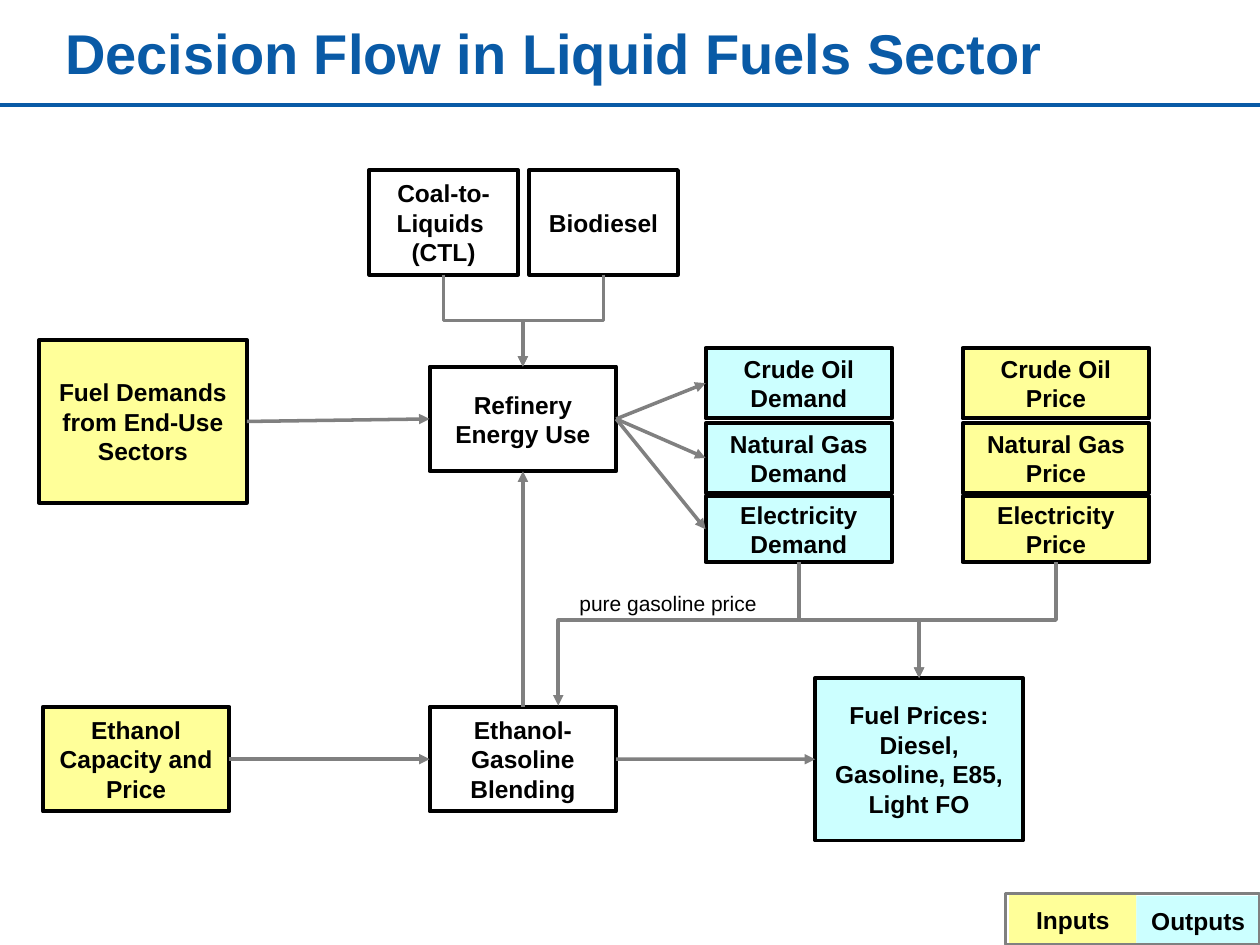
from dataclasses import dataclass

import pptx
import pptx.dml.color
import pptx.enum.shapes
import pptx.enum.text
import pptx.oxml.ns
import pptx.presentation
import pptx.shapes.autoshape
import pptx.shapes.connector
import pptx.slide
import pptx.util
from lxml import etree

Pt = pptx.util.Pt
RGBColor = pptx.dml.color.RGBColor
Link = pptx.enum.shapes.MSO_CONNECTOR
Align = pptx.enum.text.PP_ALIGN
Anchor = pptx.enum.text.MSO_ANCHOR
qn = pptx.oxml.ns.qn

BLUE = RGBColor(0x09, 0x5A, 0xA6)
BLACK = RGBColor(0, 0, 0)
WHITE = RGBColor(0xFF, 0xFF, 0xFF)
GRAY = RGBColor(0x80, 0x80, 0x80)
INPUT = RGBColor(0xFF, 0xFF, 0x99)
OUTPUT = RGBColor(0xCC, 0xFF, 0xFF)

TOP, LEFT, BOTTOM, RIGHT = range(4)


@dataclass
class Box:
    name: str
    lines: list[str]
    x: float
    y: float
    w: float
    h: float
    fill: RGBColor
    edge: bool = True


@dataclass
class Flow:
    start: str
    side: int
    end: str
    stop: int


ROWS = [("Crude Oil", 198.8, 40.3), ("Natural Gas", 241.9, 39.6),
        ("Electricity", 283.7, 37.5)]
COLS = [("Demand", 403.2, OUTPUT), ("Price", 550.1, INPUT)]

BOXES = [
    Box("needs", ["Fuel Demands from End-Use Sectors"],
        22.3, 194.4, 118.8, 92.9, INPUT),
    Box("refine", ["Refinery Energy Use"], 245.5, 209.5, 106.6, 59.8, WHITE),
    Box("blend", ["Ethanol-Gasoline Blending"],
        245.5, 403.9, 106.6, 59.8, WHITE),
    Box("ethanol", ["Ethanol Capacity and Price"],
        24.5, 403.9, 106.6, 59.8, INPUT),
    Box("prices", ["Fuel Prices:", "Diesel, Gasoline, E85, Light FO"],
        465.8, 387.4, 118.8, 92.9, OUTPUT),
    Box("coal", ["Coal-to-Liquids ", "(CTL)"], 211, 97.2, 85, 59.8, WHITE),
    Box("bio", ["Biodiesel"], 302.4, 97.2, 85, 59.8, WHITE),
    *[Box(f"{fuel} {kind}", [f"{fuel} {kind}"], x, y, 106.6, h, fill)
      for kind, x, fill in COLS for fuel, y, h in ROWS],
    Box("inputs", ["Inputs"], 576.7, 511.2, 72.7, 28.8, INPUT, False),
    Box("outputs", ["Outputs"], 649.4, 511.9, 70.6, 28.1, OUTPUT, False),
]

FLOWS = [
    Flow("needs", RIGHT, "refine", LEFT),
    Flow("ethanol", RIGHT, "blend", LEFT),
    Flow("blend", RIGHT, "prices", LEFT),
    Flow("blend", TOP, "refine", BOTTOM),
    *[Flow("refine", RIGHT, f"{fuel} Demand", LEFT) for fuel, _, _ in ROWS],
]

# Elbows run from the bottom of the first box to the top of the second.
MERGES = [("coal", "refine"), ("bio", "refine"),
          ("Electricity Demand", "prices"), ("Electricity Price", "prices")]


def write(frame: pptx.text.text.TextFrame, lines: list[str], size: float,
          color: RGBColor, bold: bool, align: Align) -> None:
    for i, line in enumerate(lines):
        para = frame.add_paragraph() if i else frame.paragraphs[0]
        para.alignment = align
        run = para.add_run()
        run.text = line
        run.font.name = "Arial"
        run.font.size = Pt(size)
        run.font.bold = bold
        run.font.color.rgb = color


def rect(slide: pptx.slide.Slide, x: float, y: float, w: float,
         h: float) -> pptx.shapes.autoshape.Shape:
    shape = slide.shapes.add_shape(
        pptx.enum.shapes.MSO_SHAPE.RECTANGLE, Pt(x), Pt(y), Pt(w), Pt(h))
    shape.shadow.inherit = False
    return shape


def draw(slide: pptx.slide.Slide, box: Box) -> pptx.shapes.autoshape.Shape:
    shape = rect(slide, box.x, box.y, box.w, box.h)
    shape.fill.solid()
    shape.fill.fore_color.rgb = box.fill
    if box.edge:
        shape.line.color.rgb = BLACK
        shape.line.width = Pt(2.25)
    else:
        shape.line.fill.background()
    frame = shape.text_frame
    frame.word_wrap = True
    frame.vertical_anchor = Anchor.MIDDLE
    write(frame, box.lines, 14, BLACK, True, Align.CENTER)
    return shape


def wire(slide: pptx.slide.Slide, kind: Link, x1: float, y1: float,
         x2: float, y2: float, color: RGBColor = GRAY, width: float = 2,
         arrow: bool = True) -> pptx.shapes.connector.Connector:
    line = slide.shapes.add_connector(kind, Pt(x1), Pt(y1), Pt(x2), Pt(y2))
    line.line.color.rgb = color
    line.line.width = Pt(width)
    if arrow:
        etree.SubElement(line.line._get_or_add_ln(), qn("a:tailEnd"),
                         type="triangle")
    etree.SubElement(line._element.spPr, qn("a:effectLst"))
    return line


def drop(slide: pptx.slide.Slide, top: Box, low: Box) -> None:
    """Draw an elbow that leaves downwards: a turned sideways elbow."""
    x1, y1 = top.x + top.w / 2, top.y + top.h
    x2, y2 = low.x + low.w / 2, low.y
    line = wire(slide, Link.ELBOW, x1, y1, x2, y2)
    wide, tall = abs(x2 - x1), y2 - y1
    line.left = Pt((x1 + x2 - tall) / 2)
    line.top = Pt((y1 + y2 - wide) / 2)
    line.width, line.height = Pt(tall), Pt(wide)
    form = line._element.spPr.find(qn("a:xfrm"))
    form.attrib.pop("flipH", None)
    form.set("rot", str((270 if x2 > x1 else 90) * 60000))
    if x2 > x1:
        form.set("flipH", "1")


def label(slide: pptx.slide.Slide, text: str, x: float, y: float, w: float,
          h: float, size: float, color: RGBColor, bold: bool) -> None:
    frame = slide.shapes.add_textbox(Pt(x), Pt(y), Pt(w), Pt(h)).text_frame
    frame.word_wrap = bold
    frame.vertical_anchor = Anchor.MIDDLE if bold else Anchor.TOP
    write(frame, [text], size, color, bold, Align.LEFT)


def main() -> None:
    deck = pptx.Presentation()
    deck.slide_width, deck.slide_height = Pt(720), Pt(540)
    slide = deck.slides.add_slide(deck.slide_layouts[6])

    wire(slide, Link.STRAIGHT, 0, 59.8, 720, 59.8, BLUE, 2.25, False)
    label(slide, "Decision Flow in Liquid Fuels Sector",
          30.2, -1.4, 612, 62.6, 32, BLUE, True)

    plan = {box.name: box for box in BOXES}
    made = {box.name: draw(slide, box) for box in BOXES}
    for flow in FLOWS:
        line = wire(slide, Link.STRAIGHT, 0, 0, 0, 0)
        line.begin_connect(made[flow.start], flow.side)
        line.end_connect(made[flow.end], flow.stop)
    for top, low in MERGES:
        drop(slide, plan[top], plan[low])

    label(slide, "pure gasoline price", 324, 334.1, 115.9, 21.6,
          12, BLACK, False)
    back = wire(slide, Link.ELBOW, 526.3, 354.3, 319, 403.2)
    back._element.spPr.find(qn("a:prstGeom")).set("prst", "bentConnector2")

    key = rect(slide, 574.6, 510.5, 145.4, 29.5)
    key.fill.background()
    key.line.color.rgb = GRAY
    key.line.width = Pt(1.75)
    deck.save("out.pptx")


if __name__ == "__main__":
    main()
